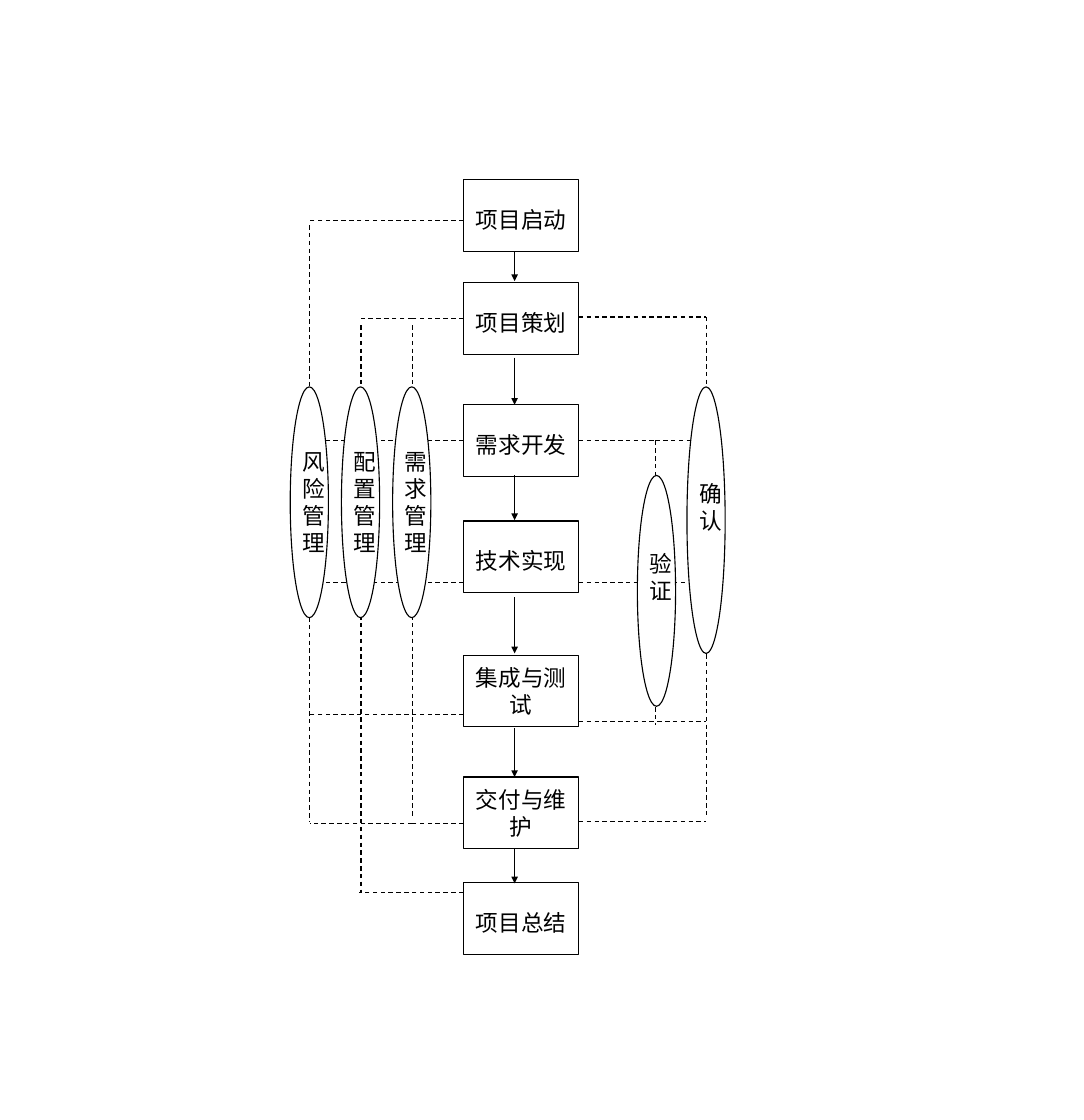
"""Draw a project life-cycle flow with its supporting management processes."""
import pptx
import pptx.util
import pptx.dml.color
import pptx.enum.dml
import pptx.enum.shapes
import pptx.enum.text
import lxml.etree
from pptx.oxml.ns import qn

Inches = pptx.util.Inches
BLACK = pptx.dml.color.RGBColor(0, 0, 0)
WHITE = pptx.dml.color.RGBColor(255, 255, 255)
SHAPE = pptx.enum.shapes.MSO_SHAPE
ANCHOR = pptx.enum.text.MSO_ANCHOR
TOP, LEFT, BOTTOM, RIGHT = range(4)

SLIDE_W, SLIDE_H = 40 / 3, 13.78
STEP_X, STEP_W, STEP_H = 5.7, 1.42, 0.88
STEPS = [
    ("项目启动", 2.21, ANCHOR.MIDDLE),
    ("项目策划", 3.48, ANCHOR.MIDDLE),
    ("需求开发", 4.98, ANCHOR.MIDDLE),
    ("技术实现", 6.41, ANCHOR.MIDDLE),
    ("集成与测试", 8.06, ANCHOR.TOP),
    ("交付与维护", 9.56, ANCHOR.TOP),
    ("项目总结", 10.86, ANCHOR.MIDDLE),
]
ARROW_X = 6.33
ARROWS = [(3.1, 3.46), (4.4, 4.98), (5.85, 6.4), (7.35, 8.04), (8.96, 9.56), (10.44, 10.87)]
PROCESS_W = 0.47
PROCESSES = [
    ("需求管理", 4.83, 4.76, 2.84),
    ("配置管理", 4.2, 4.76, 2.84),
    ("风险管理", 3.57, 4.76, 2.84),
    ("验证 ", 7.84, 5.85, 2.84),
    ("确认 ", 8.45, 4.76, 3.28),
]
RAILS = [(3.81, 2.77, 10.11), (4.44, 4, 10.99), (5.07, 4, 10.06), (8.06, 5.42, 8.92), (8.69, 3.9, 10.06)]
LINKS = [
    (0, LEFT, 2.71, [3.81]),
    (1, LEFT, 3.92, [5.07, 4.44]),
    (2, LEFT, 5.42, [3.81]),
    (3, LEFT, 7.17, [3.81]),
    (4, LEFT, 8.79, [3.81]),
    (5, LEFT, 10.13, [5.07, 3.81]),
    (6, LEFT, 10.98, [4.41]),
    (1, RIGHT, 3.9, [8.69]),
    (2, RIGHT, 5.42, [8.06, 8.49]),
    (3, RIGHT, 7.17, [8.53]),
    (4, RIGHT, 8.88, [8.69]),
    (5, RIGHT, 10.11, [8.69]),
]


def add_node(s, kind, text, x, y, w, h, anchor, top_inset):
    sp = s.shapes.add_shape(kind, Inches(x), Inches(y), Inches(w), Inches(h))
    sp.shadow.inherit = False
    sp.fill.solid()
    sp.fill.fore_color.rgb = WHITE
    sp.line.color.rgb = BLACK
    sp.line.width = pptx.util.Pt(1)
    tf = sp.text_frame
    frame = {"word_wrap": True, "vertical_anchor": anchor,
             "margin_left": Inches(0.08), "margin_right": Inches(0.08),
             "margin_top": Inches(top_inset), "margin_bottom": Inches(0.01)}
    for name, value in frame.items():
        setattr(tf, name, value)
    p = tf.paragraphs[0]
    p.alignment = pptx.enum.text.PP_ALIGN.CENTER
    r = p.add_run()
    r.text = text
    for name, value in {"name": "Times New Roman", "size": pptx.util.Pt(20)}.items():
        setattr(r.font, name, value)
    r.font.color.rgb = BLACK
    return sp


def add_line(s, x1, y1, x2, y2, arrow=False):
    c = s.shapes.add_connector(pptx.enum.shapes.MSO_CONNECTOR.STRAIGHT,
                               Inches(x1), Inches(y1), Inches(x2), Inches(y2))
    c.line.color.rgb = BLACK
    c.line.width = pptx.util.Pt(1)
    if arrow:
        lxml.etree.SubElement(c.line._get_or_add_ln(), qn("a:tailEnd"), type="triangle")
    else:
        c.line.dash_style = pptx.enum.dml.MSO_LINE.DASH
    lxml.etree.SubElement(c._element.spPr, qn("a:effectLst"))
    return c


def main():
    prs = pptx.Presentation()
    prs.slide_width, prs.slide_height = Inches(SLIDE_W), Inches(SLIDE_H)
    s = prs.slides.add_slide(prs.slide_layouts[6])

    boxes = [add_node(s, SHAPE.RECTANGLE, text, STEP_X, y, STEP_W, STEP_H, anchor, 0.11)
             for text, y, anchor in STEPS]
    for y1, y2 in ARROWS:
        add_line(s, ARROW_X, y1, ARROW_X, y2, arrow=True)
    for x, y1, y2 in RAILS:
        add_line(s, x, y1, x, y2)
    for step, side, y, stops in LINKS:
        edge = STEP_X if side == LEFT else STEP_X + STEP_W
        at_middle = abs(y - STEPS[step][1] - STEP_H / 2) < 0.01
        for start, end in zip([edge] + stops, stops):
            c = add_line(s, start, y, end, y)
            if at_middle and start == edge:
                c.begin_connect(boxes[step], side)
    for text, x, y, h in PROCESSES:
        add_node(s, SHAPE.OVAL, text, x, y, PROCESS_W, h, ANCHOR.MIDDLE, 0.01)

    prs.save("out.pptx")


if __name__ == "__main__":
    main()
